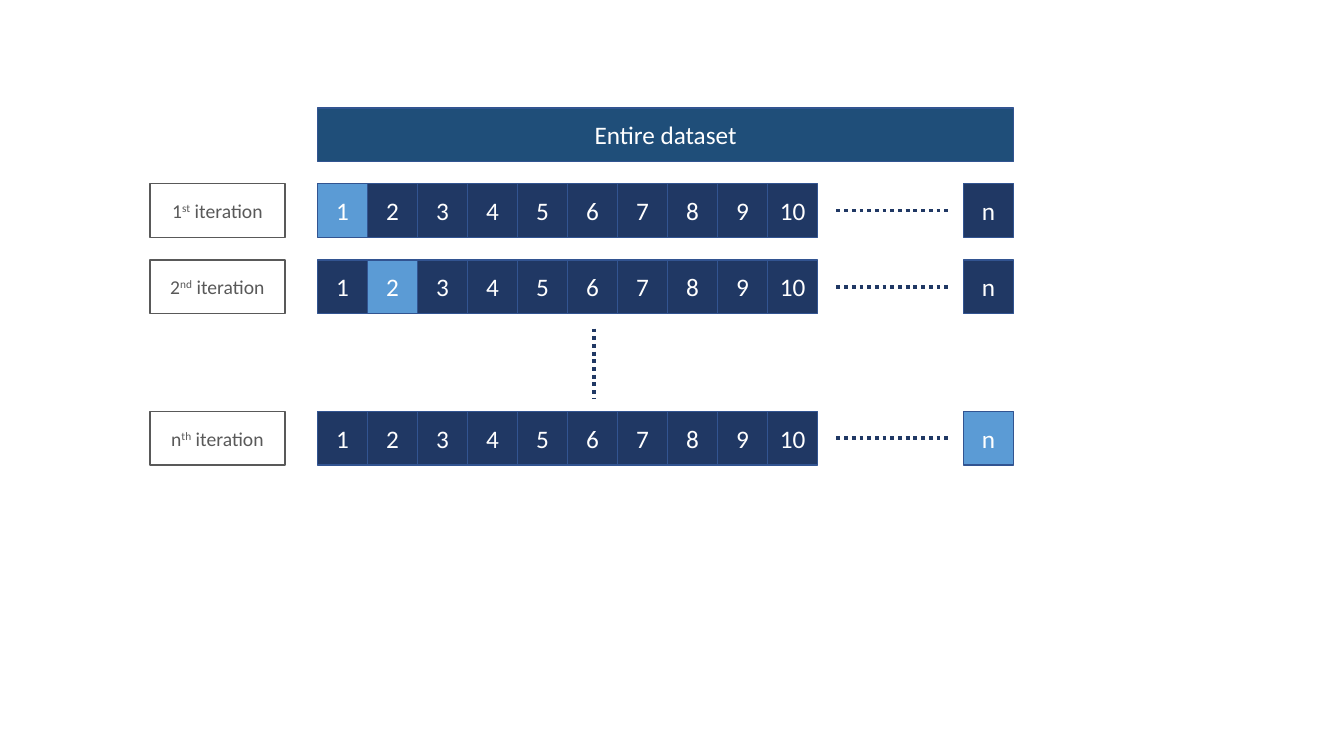
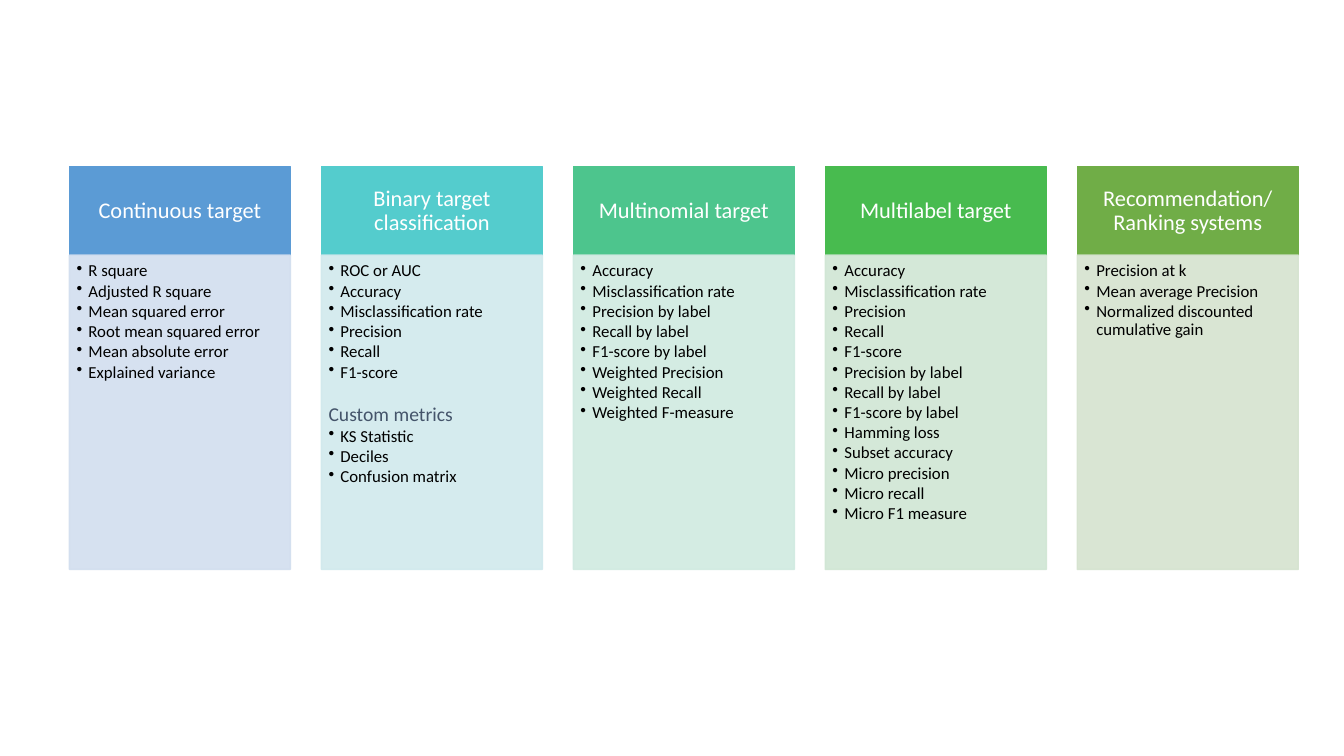
from lxml.etree import SubElement
from pptx import Presentation
from pptx.dml.color import RGBColor
from pptx.enum.dml import MSO_LINE_DASH_STYLE as Dash
from pptx.enum.shapes import MSO_CONNECTOR_TYPE as Connector, MSO_SHAPE as Shape
from pptx.enum.text import MSO_ANCHOR as Anchor, PP_ALIGN as Align
from pptx.oxml.ns import qn
from pptx.util import Cm, Pt

FONT = "Calibri"
WHITE, BLACK, GREY, SLATE = "FFFFFF", "000000", "595959", "44546A"
NAVY, BANNER, HIGHLIGHT, EDGE = "203864", "1F4E79", "5B9BD5", "325491"


def rgb(color):
    return RGBColor.from_string(color)


class Deck:
    """Holds the shared style and the current slide."""

    def __init__(self):
        self.prs = Presentation()
        self.prs.slide_width, self.prs.slide_height = Cm(33.87), Cm(19.05)
        self.slide = None

    def new_slide(self):
        self.slide = self.prs.slides.add_slide(self.prs.slide_layouts[6])

    def style(self, p, size, color, align=Align.CENTER):
        p.alignment = align
        p.font.name, p.font.size = FONT, Pt(size)
        p.font.color.rgb = rgb(color)

    def fade(self, sp, percent):
        """Make fill and line partly transparent."""
        for clr in sp.element.spPr.iter(qn("a:srgbClr")):
            SubElement(clr, qn("a:alpha"), val=str(percent * 1000))

    def box(self, x, y, w, h, fill, line):
        sp = self.slide.shapes.add_shape(Shape.RECTANGLE, Cm(x), Cm(y), Cm(w), Cm(h))
        sp.shadow.inherit = False
        if fill:
            sp.fill.solid()
            sp.fill.fore_color.rgb = rgb(fill)
        else:
            sp.fill.background()
        sp.line.color.rgb = rgb(line)
        sp.line.width = Pt(1)
        sp.text_frame.word_wrap = True
        return sp

    def text_box(self, x, y, w, h, text, fill, line=EDGE, size=18):
        sp = self.box(x, y, w, h, fill, line)
        sp.text_frame.vertical_anchor = Anchor.MIDDLE
        p = sp.text_frame.paragraphs[0]
        p.text = text
        self.style(p, size, WHITE)
        return sp

    def ordinal_box(self, x, y, w, h, number, suffix, rest):
        """Outlined label with a raised ordinal suffix."""
        sp = self.box(x, y, w, h, None, GREY)
        sp.text_frame.vertical_anchor = Anchor.MIDDLE
        p = sp.text_frame.paragraphs[0]
        self.style(p, 14, GREY)
        for text in (number, suffix, rest):
            r = p.add_run()
            r.text = text
            if text == suffix:
                r.font._element.set("baseline", "30000")

    def dots(self, x1, y1, x2, y2):
        line = self.slide.shapes.add_connector(
            Connector.STRAIGHT, Cm(x1), Cm(y1), Cm(x2), Cm(y2))
        line.line.color.rgb = rgb(NAVY)
        line.line.width = Pt(2.75)
        line.line.dash_style = Dash.ROUND_DOT
        SubElement(line.element.spPr, qn("a:effectLst"))

    def header(self, x, y, w, h, text, color):
        tf = self.text_box(x, y, w, h, text, color, color, 16).text_frame
        tf.margin_left = tf.margin_right = Cm(0.3)
        tf.margin_top = tf.margin_bottom = Cm(0.18)
        tf.paragraphs[0].line_spacing = 0.9

    def bullet_list(self, x, y, w, h, items, color, subheads):
        sp = self.box(x, y, w, h, color, color)
        self.fade(sp, 90)
        tf = sp.text_frame
        tf.vertical_anchor = Anchor.TOP
        tf.margin_left = tf.margin_top = Cm(0.18)
        tf.margin_right = tf.margin_bottom = Cm(0.24)
        for i, item in enumerate(items):
            p = tf.add_paragraph() if i else tf.paragraphs[0]
            p.text = item
            p.line_spacing, p.space_after = 0.9, Pt(1.5)
            if item in subheads:
                p.space_before = Pt(14.7)
                self.style(p, 14, SLATE, Align.LEFT)
                continue
            self.style(p, 12, BLACK, Align.LEFT)
            pPr = p._p.get_or_add_pPr()
            pPr.set("marL", str(Cm(0.3)))
            pPr.set("indent", str(-Cm(0.3)))
            bullet = pPr.makeelement(qn("a:buChar"), {"char": "•"})
            pPr.find(qn("a:defRPr")).addprevious(bullet)


def cross_validation(deck):
    deck.new_slide()
    left, cell_w, pitch, row_h, last_x = 8, 1.27, 1.26, 1.35, 24.28
    deck.text_box(left, 2.72, last_x + cell_w - left, row_h, "Entire dataset", BANNER)

    # Iterations: top, ordinal, held-out fold
    rows = [(4.63, "1", "st", "1"), (6.55, "2", "nd", "2"), (10.37, "n", "th", "n")]
    folds = [(str(i + 1), left + i * pitch) for i in range(10)] + [("n", last_x)]
    for y, number, suffix, held_out in rows:
        deck.ordinal_box(3.78, y, 3.4, row_h, number, suffix, " iteration")
        for fold, x in folds:
            fill = HIGHLIGHT if fold == held_out else NAVY
            deck.text_box(x, y, cell_w, row_h, fold, fill)
        deck.dots(21.08, y + row_h / 2, 23.88, y + row_h / 2)

    # Skipped iterations
    deck.dots(14.98, 8.28, 14.98, 10.06)


METRICS = [
    ("Continuous target", "5B9BD5", "D2DEEF", [
        "R square", "Adjusted R square", "Mean squared error",
        "Root mean squared error", "Mean absolute error", "Explained variance"]),
    ("Binary target classification", "54CCCD", "D1E9ED", [
        "ROC or AUC", "Accuracy", "Misclassification rate", "Precision", "Recall",
        "F1-score", "Custom metrics", "KS Statistic", "Deciles", "Confusion matrix"]),
    ("Multinomial target", "4DC58D", "D0EAE1", [
        "Accuracy", "Misclassification rate", "Precision by label", "Recall by label",
        "F1-score by label", "Weighted Precision", "Weighted Recall",
        "Weighted F-measure"]),
    ("Multilabel target", "48BB4F", "D0E6D4", [
        "Accuracy", "Misclassification rate", "Precision", "Recall", "F1-score",
        "Precision by label", "Recall by label", "F1-score by label", "Hamming loss",
        "Subset accuracy", "Micro precision", "Micro recall", "Micro F1 measure"]),
    ("Recommendation/ Ranking systems", "70AD47", "D5E3CF", [
        "Precision at k", "Mean average Precision",
        "Normalized discounted cumulative gain"]),
]


def metric_columns(deck):
    deck.new_slide()
    top, width, head_h, list_h = 4.2, 5.57, 2.23, 7.92
    for i, (title, head_color, list_color, items) in enumerate(METRICS):
        x = 1.75 + i * 6.35
        deck.header(x, top, width, head_h, title, head_color)
        deck.bullet_list(x, top + head_h, width, list_h, items, list_color,
                         subheads=("Custom metrics",))


def main():
    deck = Deck()
    cross_validation(deck)
    metric_columns(deck)
    deck.prs.save("out.pptx")


if __name__ == "__main__":
    main()
